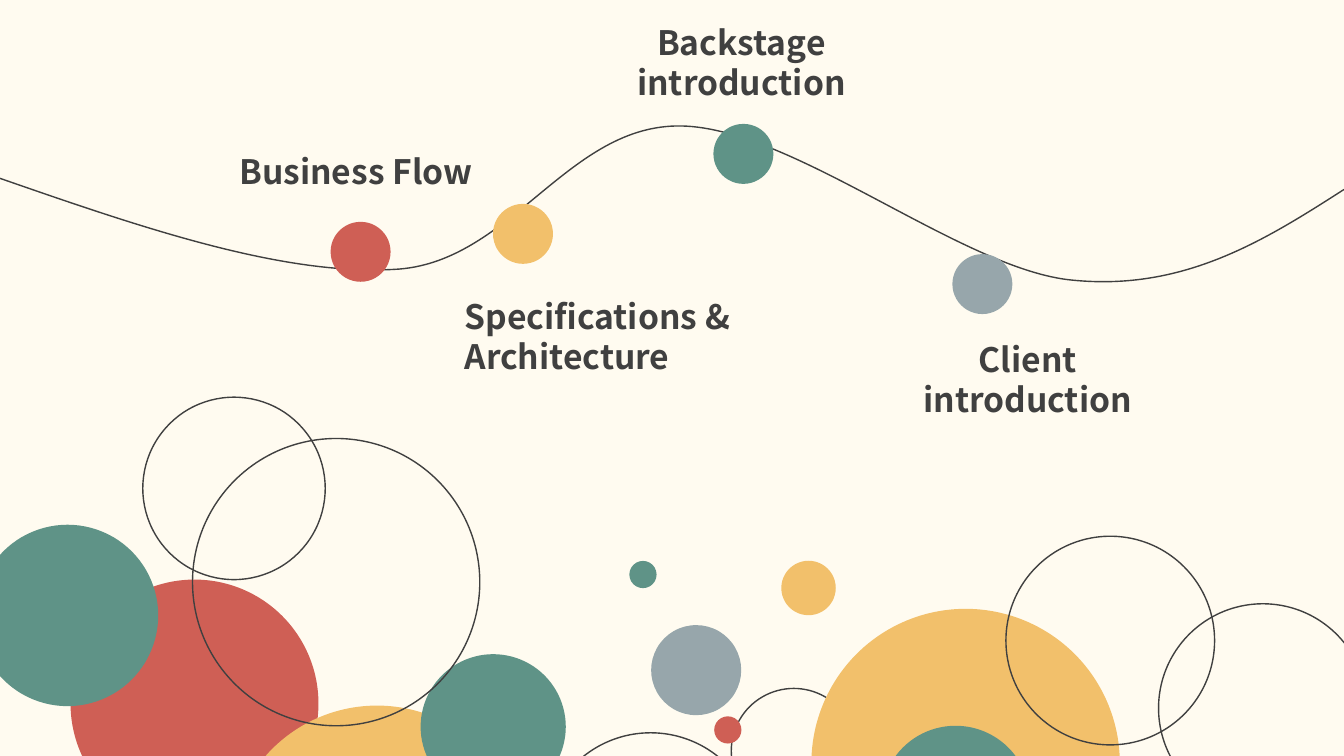
import dataclasses
from typing import Optional

import lxml.etree
import pptx
import pptx.dml.color
import pptx.enum.shapes
import pptx.enum.text
import pptx.oxml.ns
import pptx.util

RGBColor = pptx.dml.color.RGBColor
Align = pptx.enum.text.PP_ALIGN

CREAM = RGBColor(0xFF, 0xFB, 0xF0)
CHARCOAL = RGBColor(0x40, 0x40, 0x40)
RED = RGBColor(0xCF, 0x5F, 0x55)
YELLOW = RGBColor(0xF2, 0xC0, 0x6B)
GREEN = RGBColor(0x5F, 0x93, 0x87)
GREY = RGBColor(0x97, 0xA6, 0xAB)

COLUMNS, ROWS = 160, 90
SLIDE_HEIGHT = pptx.util.Inches(7.5)
SLIDE_WIDTH = SLIDE_HEIGHT * COLUMNS // ROWS
MILESTONE_SIZE = 7.14
LABEL_WIDTH = 37.32
LABEL_FORMAT = {"name": "Noto Sans CJK SC", "size": pptx.util.Pt(24), "bold": True}
FRAME_FORMAT = {
    "word_wrap": True,
    "auto_size": pptx.enum.text.MSO_AUTO_SIZE.SHAPE_TO_FIT_TEXT,
}


@dataclasses.dataclass
class Circle:
    column: float  # centre
    row: float
    diameter: float
    fill: Optional[RGBColor] = None  # outlined when there is no fill


@dataclasses.dataclass
class Label:
    text: str
    column: float
    row: float
    height: float
    align: Align


BUBBLES = [
    Circle(23.16, 83.76, 29.52, RED),
    Circle(44.88, 101.64, 35.28, YELLOW),
    Circle(58.72, 86.52, 17.28, GREEN),
    Circle(77.46, 100.02, 25.56),
    Circle(40.02, 69.3, 34.2),
    Circle(8.04, 73.27, 21.6, GREEN),
    Circle(94.5, 89.4, 14.88),
    Circle(114.96, 90.84, 36.72, YELLOW),
    Circle(113.76, 95.28, 17.76, GREEN),
    Circle(132.18, 76.26, 24.84),
    Circle(150.35, 84.3, 24.84),
    Circle(82.88, 79.78, 10.72, GREY),
    Circle(86.65, 86.9, 3.24, RED),
    Circle(76.55, 68.4, 3.24, GREEN),
    Circle(96.26, 70, 6.48, YELLOW),
    Circle(27.86, 58.14, 21.72),
]

MILESTONES = [
    Circle(42.93, 29.98, MILESTONE_SIZE, RED),
    Circle(62.26, 27.84, MILESTONE_SIZE, YELLOW),
    Circle(88.5, 18.32, MILESTONE_SIZE, GREEN),
    Circle(116.95, 33.82, MILESTONE_SIZE, GREY),
]

LABELS = [
    Label("Business Flow", 27.3, 17.4, 6, Align.LEFT),
    Label("Specifications & Architecture", 54.12, 34.6, 10.92, Align.LEFT),
    Label("Backstage introduction", 69.6, 2, 10.92, Align.CENTER),
    Label("Client introduction", 103.68, 39.72, 10.92, Align.CENTER),
]

# Start point, then two handles and an end point for each bend
WAVE_START = (0, 21.24)
WAVE_BENDS = [
    [(16.92, 27.12), (33.96, 33), (47.52, 32.04)],
    [(60.96, 30.96), (67.68, 14.76), (81.12, 15)],
    [(94.44, 15.24), (114.6, 32.16), (127.68, 33.36)],
    [(140.88, 34.68), (150.48, 28.68), (160, 22.56)],
]


def across(columns: float) -> int:
    return round(SLIDE_WIDTH * columns / COLUMNS)


def down(rows: float) -> int:
    return round(SLIDE_HEIGHT * rows / ROWS)


def outline(shape) -> None:
    shape.fill.background()
    shape.line.color.rgb = CHARCOAL
    shape.line.width = pptx.util.Pt(1)


def draw_circle(page, circle: Circle) -> None:
    size = down(circle.diameter)
    shape = page.shapes.add_shape(
        pptx.enum.shapes.MSO_SHAPE.OVAL,
        across(circle.column) - size // 2, down(circle.row) - size // 2, size, size)
    shape.shadow.inherit = False
    if circle.fill is None:
        outline(shape)
    else:
        shape.fill.solid()
        shape.fill.fore_color.rgb = circle.fill
        shape.line.fill.background()


def draw_wave(page, start: tuple, bends: list) -> None:
    builder = page.shapes.build_freeform(across(start[0]), down(start[1]))
    ends = [(across(bend[-1][0]), down(bend[-1][1])) for bend in bends]
    builder.add_line_segments(ends, close=False)
    shape = builder.convert_to_shape()
    shape.shadow.inherit = False
    outline(shape)

    # Turn each straight segment into a cubic curve
    qn = pptx.oxml.ns.qn
    segments = list(shape.element.iter(qn("a:lnTo")))
    for segment, bend in zip(segments, bends):
        curve = lxml.etree.Element(qn("a:cubicBezTo"))
        for column, row in bend:
            point = lxml.etree.SubElement(curve, qn("a:pt"))
            point.set("x", str(across(column) - shape.left))
            point.set("y", str(down(row) - shape.top))
        segment.getparent().replace(segment, curve)


def draw_label(page, label: Label) -> None:
    box = page.shapes.add_textbox(
        across(label.column), down(label.row), across(LABEL_WIDTH), down(label.height))
    for name, value in FRAME_FORMAT.items():
        setattr(box.text_frame, name, value)
    para = box.text_frame.paragraphs[0]
    para.alignment = label.align
    span = para.add_run()
    span.text = label.text
    for name, value in LABEL_FORMAT.items():
        setattr(span.font, name, value)
    span.font.color.rgb = CHARCOAL


def main() -> None:
    deck = pptx.Presentation()
    deck.slide_width, deck.slide_height = SLIDE_WIDTH, SLIDE_HEIGHT
    page = deck.slides.add_slide(deck.slide_layouts[6])
    page.background.fill.solid()
    page.background.fill.fore_color.rgb = CREAM

    # Decorative bubbles
    for bubble in BUBBLES:
        draw_circle(page, bubble)

    # Timeline with its milestones
    draw_wave(page, WAVE_START, WAVE_BENDS)
    for milestone in MILESTONES:
        draw_circle(page, milestone)

    # Milestone names
    for label in LABELS:
        draw_label(page, label)

    deck.save("out.pptx")


if __name__ == "__main__":
    main()
